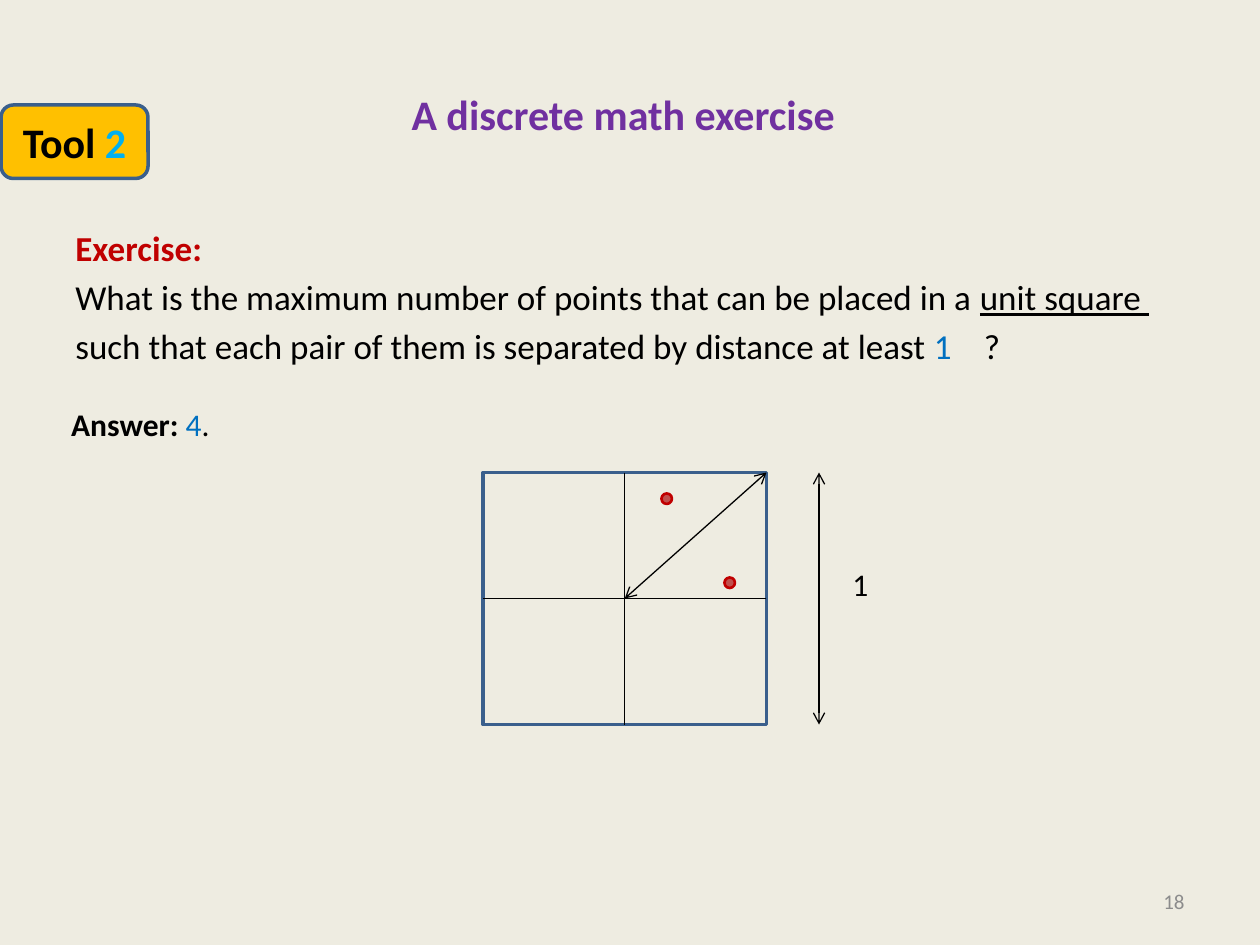
from dataclasses import dataclass

from lxml.etree import SubElement
from pptx import Presentation
from pptx.dml.color import RGBColor
from pptx.enum.shapes import MSO_CONNECTOR, MSO_SHAPE
from pptx.enum.text import MSO_ANCHOR, MSO_AUTO_SIZE, PP_ALIGN
from pptx.oxml.ns import qn
from pptx.util import Inches, Pt

COLORS = {
    "background": "EEECE1", "black": "000000", "purple": "7030A0",
    "red": "C00000", "point": "C0504D", "blue": "0070C0",
    "cyan": "00B0F0", "gold": "FFC000", "outline": "3A5F8C", "gray": "8C8C8C",
}
COLUMNS, ROWS = 120, 90
SLIDE_WIDTH, SLIDE_HEIGHT = Inches(10), Inches(7.5)


@dataclass(frozen=True)
class Box:
    """A rectangle in grid columns and rows."""
    column: float
    row: float
    width: float
    height: float

    @property
    def right(self) -> float:
        return self.column + self.width

    @property
    def bottom(self) -> float:
        return self.row + self.height

    @property
    def center(self) -> tuple[float, float]:
        return self.column + self.width / 2, self.row + self.height / 2

    def lengths(self) -> tuple[int, int, int, int]:
        return (*grid_point(self.column, self.row), *grid_point(self.width, self.height))


@dataclass(frozen=True)
class Run:
    text: str
    color: str = "black"
    bold: bool = False
    underline: bool = False


@dataclass(frozen=True)
class Line:
    start: tuple[float, float]
    end: tuple[float, float]
    arrows: bool = False


SQUARE = Box(46, 45, 27, 24)
MIDDLE_COLUMN, MIDDLE_ROW = SQUARE.center
MEASURE_COLUMN = 78
LINES = [
    Line((MEASURE_COLUMN, SQUARE.row), (MEASURE_COLUMN, SQUARE.bottom), arrows=True),
    Line((MIDDLE_COLUMN, SQUARE.row), (MIDDLE_COLUMN, SQUARE.bottom)),
    Line((SQUARE.column, MIDDLE_ROW), (SQUARE.right, MIDDLE_ROW)),
    Line((SQUARE.right, SQUARE.row), SQUARE.center, arrows=True),
]
POINTS = [Box(63, 47, 1, 1), Box(69, 55, 1, 1)]
EXERCISE = [
    [Run("Exercise:", "red", bold=True)],
    [Run("What is the maximum number of points that can be placed in a "),
     Run("unit square ", underline=True)],
    [Run("such that each pair of them is separated by distance at least "),
     Run("1\t", "blue"), Run("?")],
]
QUESTION_MARK_TAB = Inches(7.21)


def grid_point(column: float, row: float) -> tuple[int, int]:
    return round(SLIDE_WIDTH * column / COLUMNS), round(SLIDE_HEIGHT * row / ROWS)


def rgb(name: str) -> RGBColor:
    return RGBColor.from_string(COLORS[name])


def write_runs(paragraph, runs: list[Run], size: float) -> None:
    for item in runs:
        run = paragraph.add_run()
        run.text = item.text
        formats = {"name": "Calibri", "size": Pt(size),
                   "bold": item.bold, "underline": item.underline}
        for attribute, value in formats.items():
            setattr(run.font, attribute, value)
        run.font.color.rgb = rgb(item.color)


def fill_text(shape, paragraphs: list[list[Run]], size: float, wrap: bool = True,
              align=PP_ALIGN.LEFT, anchor=MSO_ANCHOR.TOP) -> None:
    frame = shape.text_frame
    formats = {"auto_size": MSO_AUTO_SIZE.NONE, "word_wrap": wrap, "vertical_anchor": anchor}
    for attribute, value in formats.items():
        setattr(frame, attribute, value)
    for index, runs in enumerate(paragraphs):
        paragraph = frame.add_paragraph() if index else frame.paragraphs[0]
        paragraph.alignment = align
        paragraph.space_before = Pt(size * 0.2 if index else 0)
        write_runs(paragraph, runs, size)


def add_text(slide, box: Box, paragraphs: list[list[Run]], size: float, **options):
    shape = slide.shapes.add_textbox(*box.lengths())
    fill_text(shape, paragraphs, size, **options)
    return shape


def add_tab_stop(paragraph, position: int) -> None:
    tabs = SubElement(paragraph._p.get_or_add_pPr(), qn("a:tabLst"))
    SubElement(tabs, qn("a:tab"), pos=str(position), algn="l")


def add_figure(slide, kind, box: Box, fill: str | None, line: str, weight: float):
    shape = slide.shapes.add_shape(kind, *box.lengths())
    shape.shadow.inherit = False
    if fill:
        shape.fill.solid()
        shape.fill.fore_color.rgb = rgb(fill)
    else:
        shape.fill.background()
    shape.line.color.rgb = rgb(line)
    shape.line.width = Pt(weight)
    return shape


def add_line(slide, line: Line) -> None:
    connector = slide.shapes.add_connector(
        MSO_CONNECTOR.STRAIGHT, *grid_point(*line.start), *grid_point(*line.end))
    connector.line.color.rgb = rgb("black")
    connector.line.width = Pt(0.75)
    if line.arrows:
        for end in ("a:headEnd", "a:tailEnd"):
            SubElement(connector.line._get_or_add_ln(), qn(end), type="arrow")
    SubElement(connector._element.spPr, qn("a:effectLst"))


def place_title(slide) -> None:
    title = slide.shapes.title
    lengths = Box(38, 7.8, 43, 6).lengths()
    for attribute, value in zip(("left", "top", "width", "height"), lengths):
        setattr(title, attribute, value)
    fill_text(title, [[Run("A discrete math exercise", "purple", bold=True)]], 24, wrap=False)


def main() -> None:
    presentation = Presentation()
    presentation.slide_width, presentation.slide_height = SLIDE_WIDTH, SLIDE_HEIGHT
    slide = presentation.slides.add_slide(presentation.slide_layouts.get_by_name("Title Only"))
    slide.background.fill.solid()
    slide.background.fill.fore_color.rgb = rgb("background")

    place_title(slide)
    exercise = add_text(slide, Box(6, 21, 108, 59.4), EXERCISE, 20)
    add_tab_stop(exercise.text_frame.paragraphs[-1], QUESTION_MARK_TAB)
    add_text(slide, Box(86, 83.4, 28, 4.8), [[Run("18", "gray")]], 12,
             align=PP_ALIGN.RIGHT, anchor=MSO_ANCHOR.MIDDLE)

    add_figure(slide, MSO_SHAPE.RECTANGLE, SQUARE, None, "outline", 2)
    for line in LINES:
        add_line(slide, line)
    for point in POINTS:
        add_figure(slide, MSO_SHAPE.OVAL, point, "point", "red", 1.5)
    add_text(slide, Box(MEASURE_COLUMN + 2, 53.2, 4, 4.8), [[Run("1")]], 18, wrap=False)

    badge = add_figure(slide, MSO_SHAPE.ROUNDED_RECTANGLE, Box(0.1, 10, 14, 7),
                       "gold", "outline", 2)
    fill_text(badge, [[Run("Tool ", bold=True), Run("2", "cyan", bold=True)]], 24,
              align=PP_ALIGN.CENTER, anchor=MSO_ANCHOR.MIDDLE)
    add_text(slide, Box(5.6, 38, 15.7, 4.8),
             [[Run("Answer: ", bold=True), Run("4", "blue"), Run(".")]], 18, wrap=False)

    presentation.save("out.pptx")


if __name__ == "__main__":
    main()
